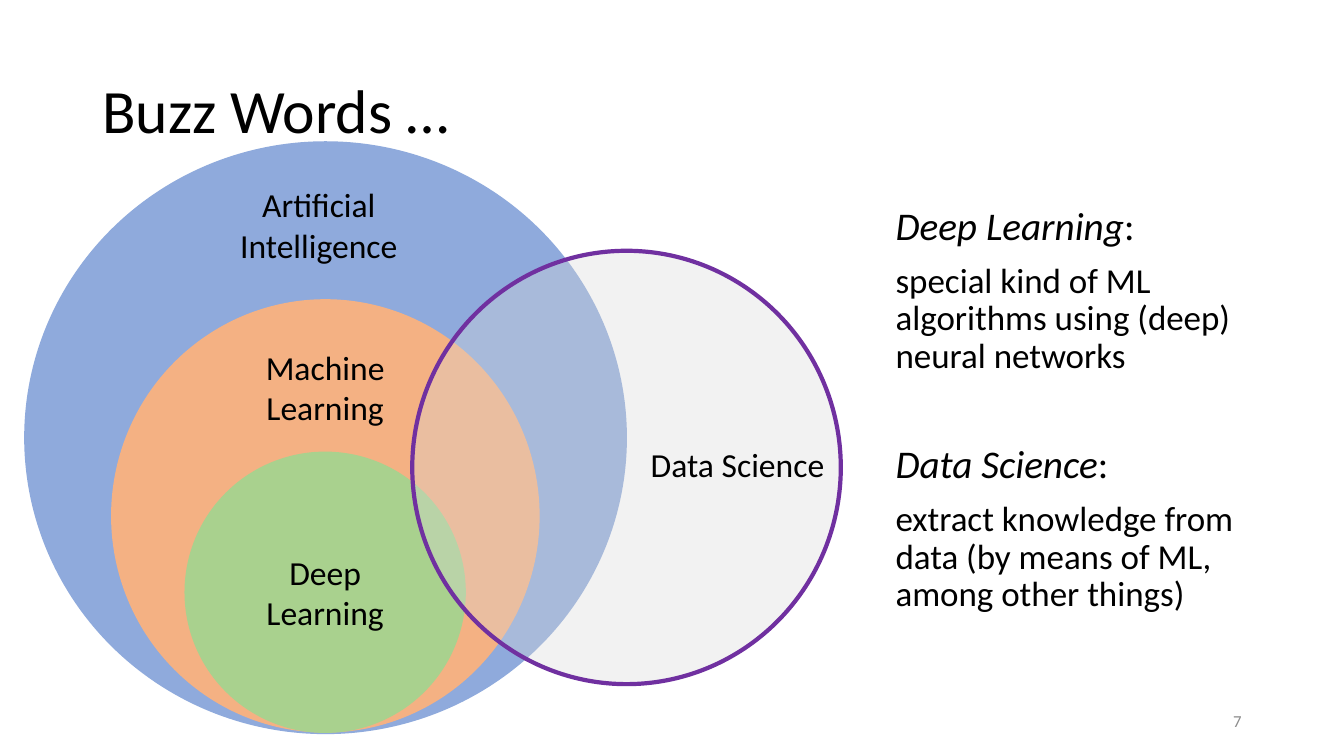
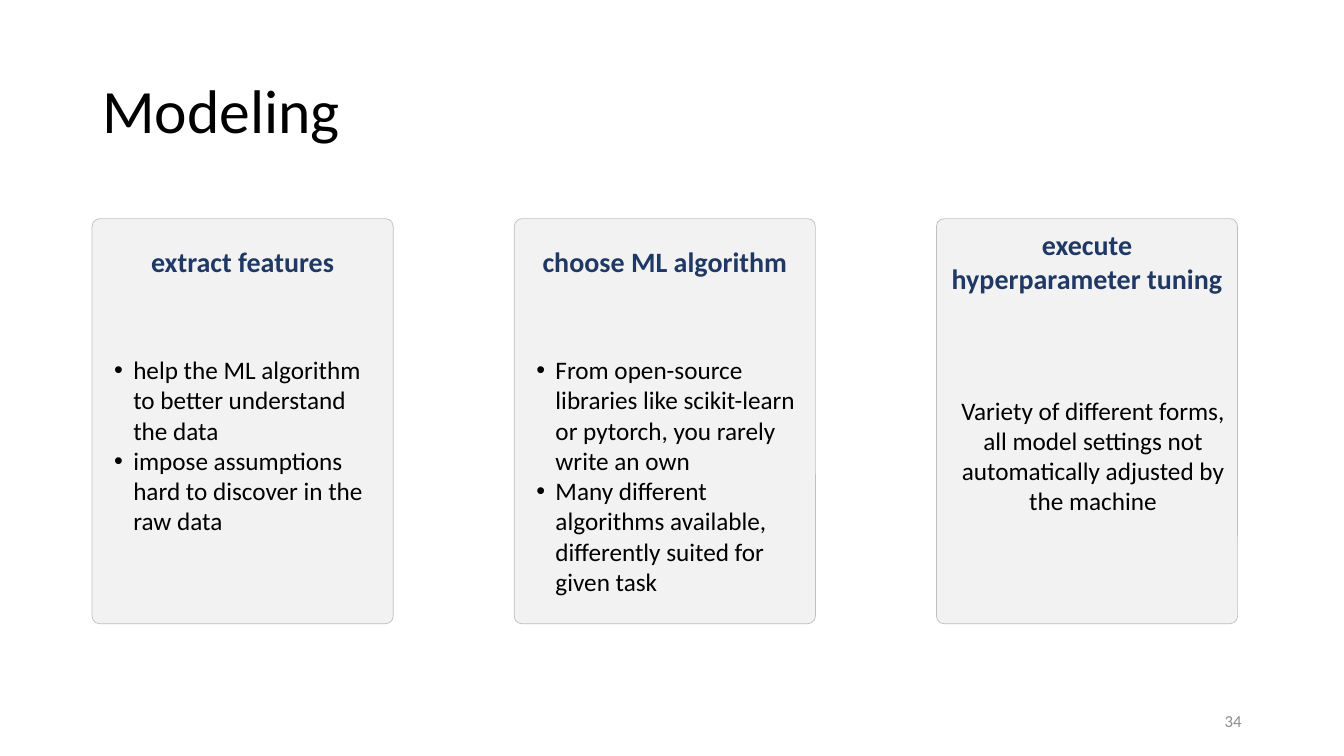
from lxml import etree
from pptx import Presentation
from pptx.dml.color import RGBColor
from pptx.enum.shapes import MSO_SHAPE
from pptx.enum.text import MSO_ANCHOR, PP_ALIGN
from pptx.oxml.ns import qn
from pptx.util import Cm, Pt

OVAL = MSO_SHAPE.OVAL
ROUND = MSO_SHAPE.ROUNDED_RECTANGLE
TOP, MIDDLE = MSO_ANCHOR.TOP, MSO_ANCHOR.MIDDLE
LEFT, CENTER, RIGHT = PP_ALIGN.LEFT, PP_ALIGN.CENTER, PP_ALIGN.RIGHT

BLACK = RGBColor(0x00, 0x00, 0x00)
GRAY = RGBColor(0x8C, 0x8C, 0x8C)
NAVY = RGBColor(0x20, 0x38, 0x64)
BLUE = RGBColor(0x8F, 0xAA, 0xDC)
ORANGE = RGBColor(0xF4, 0xB1, 0x83)
GREEN = RGBColor(0xA9, 0xD1, 0x8E)
SILVER = RGBColor(0xD9, 0xD9, 0xD9)
PURPLE = RGBColor(0x70, 0x30, 0xA0)
PALE = RGBColor(0xF2, 0xF2, 0xF2)
EDGE = RGBColor(0xBF, 0xBF, 0xBF)
FONT = "Calibri"


def add_box(slide, x, y, w, h, anchor=TOP):
    frame = slide.shapes.add_textbox(Cm(x), Cm(y), Cm(w), Cm(h)).text_frame
    frame.word_wrap = True
    frame.vertical_anchor = anchor
    return frame


def write(frame, text, para=None, size=24, color=BLACK, bold=False, italic=False,
          align=LEFT, lines=1.0, before=0, indent=0, bullet=False):
    if para is None:
        para = frame.paragraphs[0]
        if para.runs:
            para = frame.add_paragraph()
        para.alignment = align
        para.line_spacing = lines
        para.space_before = Pt(before)
        props = para._p.get_or_add_pPr()
        props.set("marL", str(Cm(indent)))
        if bullet:
            props.set("indent", str(-Cm(0.48)))
            etree.SubElement(props, qn("a:buFont")).set("typeface", "Arial")
            etree.SubElement(props, qn("a:buChar")).set("char", "•")
    run = para.add_run()
    run.text = text
    font = run.font
    font.name, font.size = FONT, Pt(size)
    font.bold, font.italic = bold, italic
    font.color.rgb = color
    return para


deck = Presentation()
deck.slide_width, deck.slide_height = Cm(33.87), Cm(19.05)

slides = []
for title, number in [("Buzz Words …", "7"), ("Modeling", "34")]:
    slide = deck.slides.add_slide(deck.slide_layouts[6])
    write(add_box(slide, 2.33, 1.01, 29.21, 3.68, MIDDLE), title, size=44, lines=0.9)
    write(add_box(slide, 23.92, 17.66, 7.62, 1.01, MIDDLE), number,
          size=12, color=GRAY, align=RIGHT)
    slides.append(slide)
buzz, model = slides

terms = [
    ("Deep Learning", "special kind of ML algorithms using (deep) neural networks", 0),
    ("Data Science", "extract knowledge from data (by means of ML, among other things)", 49),
]
frame = add_box(buzz, 22.32, 5.08, 9.2, 12.09)
for term, text, gap in terms:
    para = write(frame, term, size=28, italic=True, lines=0.9, before=gap)
    write(frame, ":", para, size=28)
    write(frame, text, size=25, lines=0.9, before=10)

circles = [
    (0.61, 3.56, 15.19, 14.94, BLUE),
    (2.8, 7.54, 10.8, 10.92, ORANGE),
    (4.65, 11.38, 7.09, 7.09, GREEN),
    (10.39, 6.32, 10.8, 10.92, SILVER),
]
ovals = []
for x, y, w, h, color in circles:
    oval = buzz.shapes.add_shape(OVAL, Cm(x), Cm(y), Cm(w), Cm(h))
    oval.shadow.inherit = False
    oval.fill.solid()
    oval.fill.fore_color.rgb = color
    oval.line.fill.background()
    ovals.append(oval)

deep, data = ovals[2:]
deep.text_frame.vertical_anchor = MIDDLE
for word in ["Deep", "Learning"]:
    write(deep.text_frame, word, align=CENTER)

data.line.color.rgb = PURPLE
data.line.width = Pt(3)
tint = data.fill._xPr.find(qn("a:solidFill"))[0]
etree.SubElement(tint, qn("a:alpha")).set("val", "34000")

labels = [
    ("Artificial Intelligence", 5.56, 4.52, 4.95, 2.31, CENTER),
    ("Machine Learning", 5.97, 8.61, 4.45, 2.31, CENTER),
    ("Data Science", 16.15, 11.05, 5.18, 1.27, LEFT),
]
for text, x, y, w, h, align in labels:
    write(add_box(buzz, x, y, w, h), text, align=align)

cards = [
    ("extract features", 8.81, True, [
        "help the ML algorithm to better understand the data",
        "impose assumptions hard to discover in the raw data"]),
    ("choose ML algorithm", 8.81, True, [
        "From open-source libraries like scikit-learn or pytorch, you rarely write an own",
        "Many different algorithms available, differently suited for given task"]),
    ("execute hyperparameter tuning", 9.83, False, [
        "Variety of different forms, all model settings not automatically "
        "adjusted by the machine"]),
]
WIDTH, STEP = 7.59, 10.64
for i, (head, top, bullet, points) in enumerate(cards):
    x = 2.32 + i * STEP
    card = model.shapes.add_shape(ROUND, Cm(x), Cm(5.51), Cm(WIDTH), Cm(10.21))
    card.adjustments[0] = 0.026
    card.shadow.inherit = False
    card.fill.solid()
    card.fill.fore_color.rgb = PALE
    card.line.color.rgb = EDGE
    card.line.width = Pt(0.5)
    write(add_box(model, x, 5.6, WIDTH, 1.96, MIDDLE), head,
          size=20, color=NAVY, bold=True, align=CENTER)
    frame = add_box(model, x, top, WIDTH, 15.2 - top)
    for point in points:
        write(frame, point, size=18, bullet=bullet,
              align=LEFT if bullet else CENTER, indent=0.79 if bullet else 0.3)

deck.save("out.pptx")
